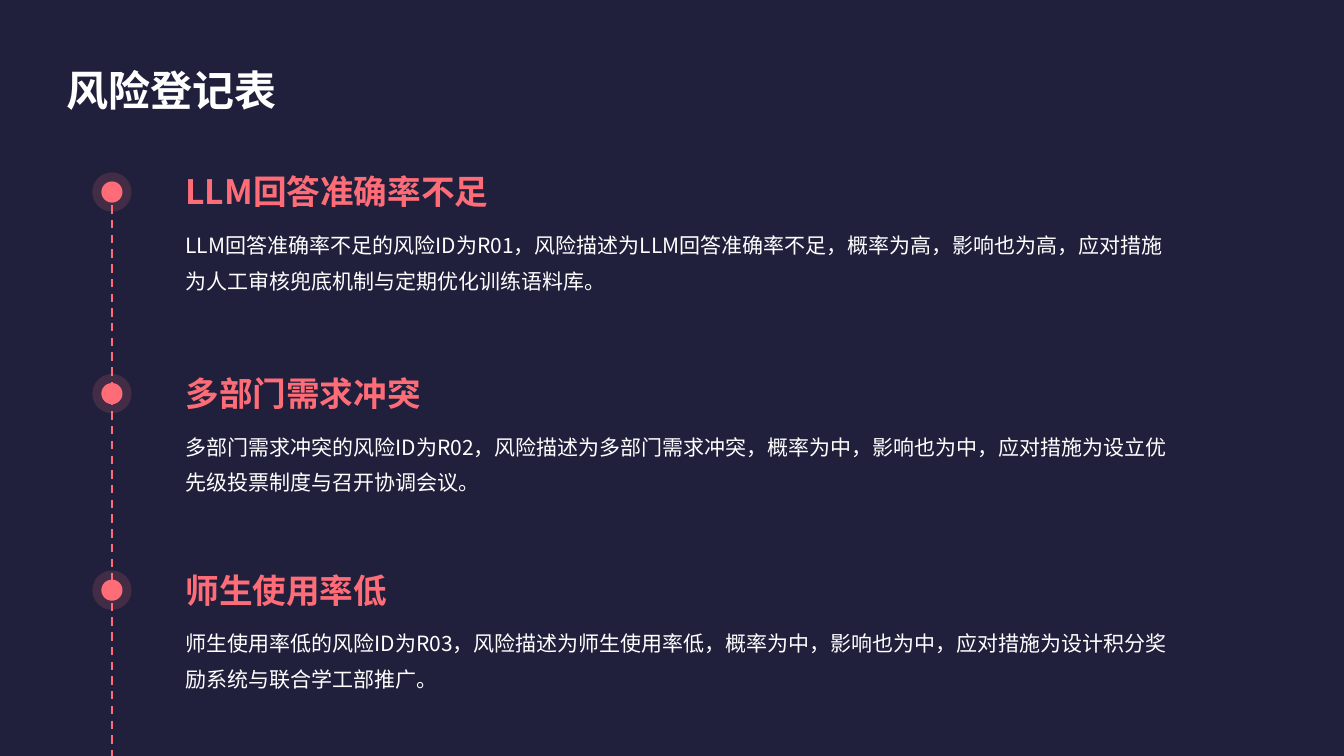
from dataclasses import dataclass

from lxml import etree
from pptx import Presentation
from pptx import util as u
from pptx.dml.color import RGBColor
from pptx.enum import dml, shapes, text
from pptx.oxml.ns import qn


@dataclass(frozen=True)
class Theme:
    background: RGBColor = RGBColor.from_string("20203C")
    accent: RGBColor = RGBColor.from_string("FE6D77")
    white: RGBColor = RGBColor.from_string("FFFFFF")
    font: str = "Noto Sans CJK SC"
    title_size: int = 30
    heading_size: int = 24
    body_size: int = 15


THEME = Theme()
AXIS_X = 1.11
TEXT_LEFT = 1.84

# top of the heading, heading, description
RISKS = [
    (1.49, "LLM回答准确率不足",
     "LLM回答准确率不足的风险ID为R01，风险描述为LLM回答准确率不足，概率为高，影响也为高，"
     "应对措施为人工审核兜底机制与定期优化训练语料库。"),
    (3.49, "多部门需求冲突",
     "多部门需求冲突的风险ID为R02，风险描述为多部门需求冲突，概率为中，影响也为中，"
     "应对措施为设立优先级投票制度与召开协调会议。"),
    (5.44, "师生使用率低",
     "师生使用率低的风险ID为R03，风险描述为师生使用率低，概率为中，影响也为中，"
     "应对措施为设计积分奖励系统与联合学工部推广。"),
]


def write_text(shape, wording, *, size, color=THEME.white, bold=False, spacing=1.4,
               anchor=text.MSO_ANCHOR.TOP, insets=(0, 0, 0, 0)):
    """Fill a shape with one formatted paragraph; insets run left, top, right, bottom."""
    frame = shape.text_frame
    frame.word_wrap = True
    frame.auto_size = text.MSO_AUTO_SIZE.NONE
    frame.vertical_anchor = anchor
    (frame.margin_left, frame.margin_top,
     frame.margin_right, frame.margin_bottom) = map(u.Inches, insets)
    paragraph = frame.paragraphs[0]
    paragraph.alignment = text.PP_ALIGN.LEFT
    paragraph.line_spacing = spacing
    run = paragraph.add_run()
    run.text = wording
    run.font.size = u.Pt(size)
    run.font.bold = bold
    run.font.color.rgb = color
    run.font.name = THEME.font
    east_asian = etree.SubElement(run.font._element, qn("a:ea"))
    east_asian.set("typeface", THEME.font)


def add_title(slide, wording):
    title = slide.shapes.title
    title.left, title.top = u.Inches(0.52), u.Inches(0.29)
    title.width, title.height = u.Inches(12.29), u.Inches(1)
    write_text(title, wording, size=THEME.title_size, bold=True,
               anchor=text.MSO_ANCHOR.MIDDLE, insets=(0.14, 0.14, 0.06, 0.14))


def add_text(slide, left, top, width, height, wording, **style):
    box = slide.shapes.add_textbox(*map(u.Inches, (left, top, width, height)))
    write_text(box, wording, **style)


def add_marker(slide, center_y):
    """Draw a timeline dot under a translucent halo."""
    marker = slide.shapes.add_group_shape()
    for diameter, opacity in ((0.21, 100), (0.39, 16)):
        left, top = AXIS_X - diameter / 2, center_y - diameter / 2
        circle = marker.shapes.add_shape(
            shapes.MSO_SHAPE.OVAL, *map(u.Inches, (left, top, diameter, diameter)))
        circle.shadow.inherit = False
        circle.line.fill.background()
        circle.fill.solid()
        circle.fill.fore_color.rgb = THEME.accent
        if opacity < 100:
            color = circle._element.spPr.find(qn("a:solidFill"))[0]
            etree.SubElement(color, qn("a:alpha")).set("val", str(opacity * 1000))


def add_risk(slide, top, heading, description):
    add_text(slide, TEXT_LEFT, top, 9.78, 0.61, heading, size=THEME.heading_size,
             color=THEME.accent, bold=True, spacing=1.2, anchor=text.MSO_ANCHOR.BOTTOM)
    add_text(slide, TEXT_LEFT, top + 0.72, 9.81, 0.84, description, size=THEME.body_size)
    add_marker(slide, top + 0.415)


def add_timeline(slide, start_y, end_y):
    timeline = slide.shapes.add_connector(
        shapes.MSO_CONNECTOR.STRAIGHT,
        *map(u.Inches, (AXIS_X, start_y, AXIS_X, end_y)))
    timeline.line.color.rgb = THEME.accent
    timeline.line.width = u.Pt(1.5)
    timeline.line.dash_style = dml.MSO_LINE.DASH
    etree.SubElement(timeline._element.spPr, qn("a:effectLst"))


def main():
    deck = Presentation()
    deck.slide_width, deck.slide_height = u.Inches(13.33), u.Inches(7.5)
    slide = deck.slides.add_slide(deck.slide_layouts.get_by_name("Title Only"))
    slide.background.fill.solid()
    slide.background.fill.fore_color.rgb = THEME.background

    add_title(slide, "风险登记表")
    for risk in RISKS:
        add_risk(slide, *risk)
    add_timeline(slide, 1.89, 7.59)
    deck.save("out.pptx")


if __name__ == "__main__":
    main()
